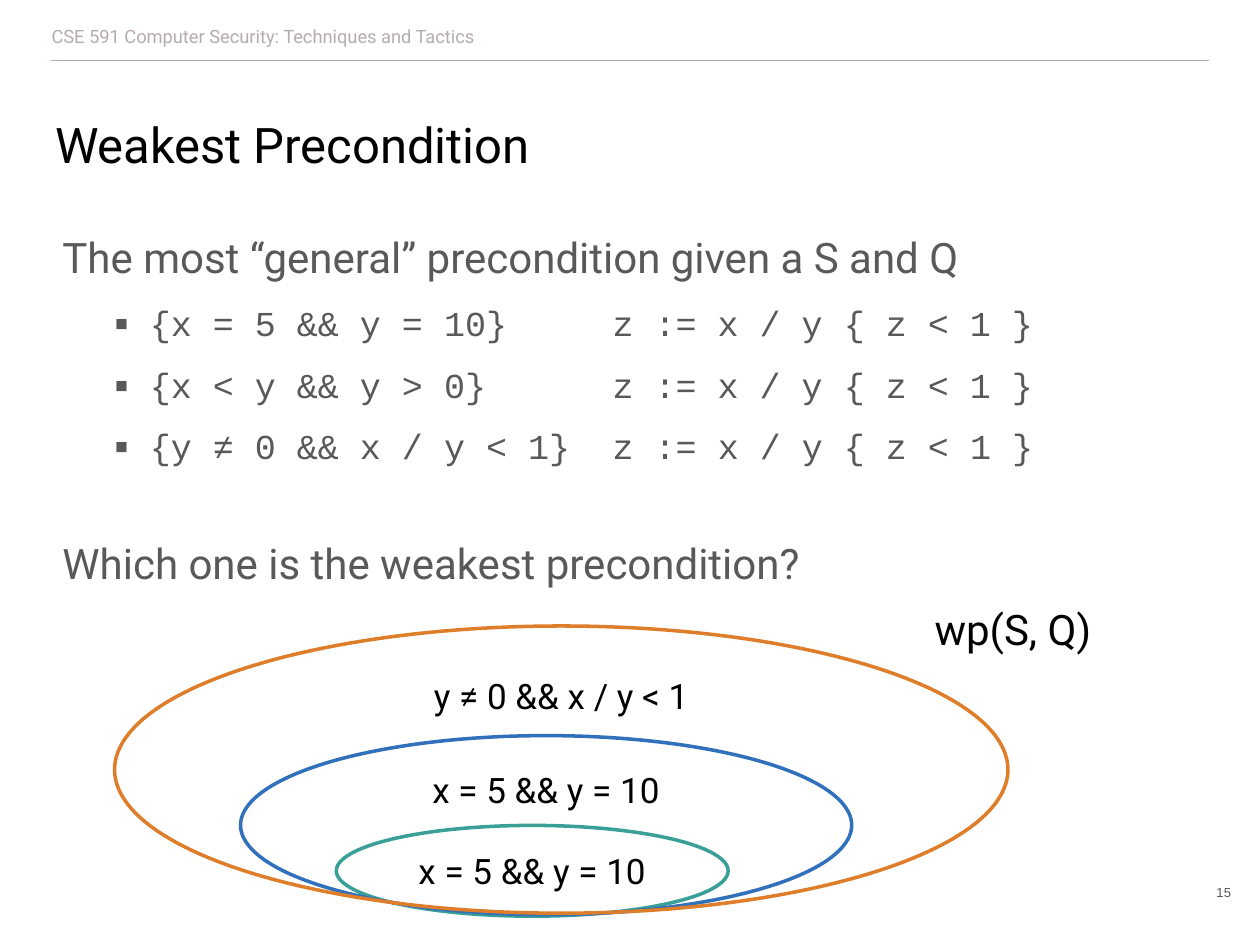
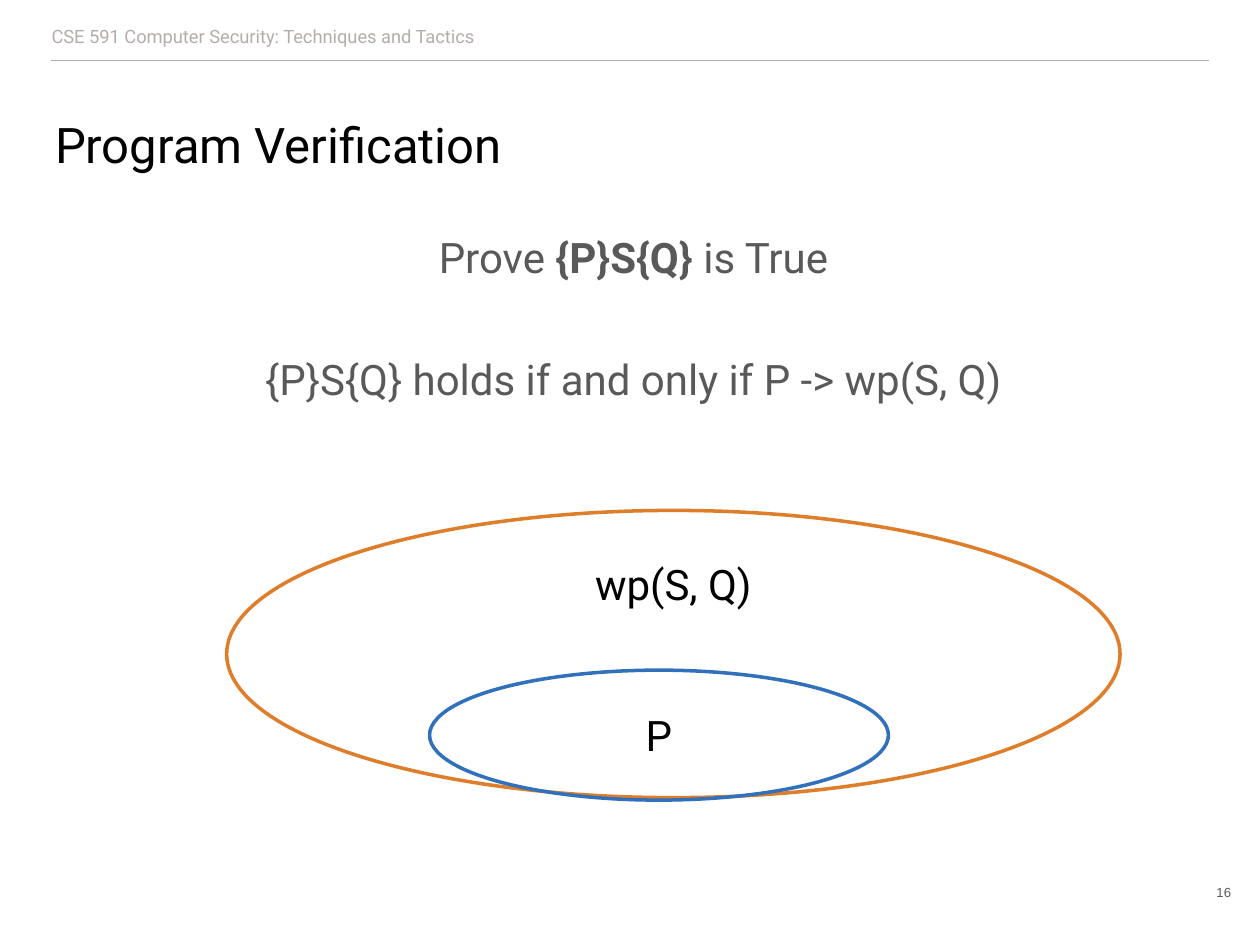
import dataclasses

import lxml.etree
import pptx
import pptx.dml.color
import pptx.enum.shapes
import pptx.enum.text
import pptx.oxml.ns
import pptx.util

Cm, Pt = pptx.util.Cm, pptx.util.Pt
RGB = pptx.dml.color.RGBColor.from_string
ALIGN = pptx.enum.text.PP_ALIGN
ANCHOR = pptx.enum.text.MSO_ANCHOR
qn = pptx.oxml.ns.qn


@dataclasses.dataclass(frozen=True)
class Theme:
    sans: str = "Roboto"
    mono: str = "Courier New"
    plain: str = "Arial"
    ink: str = "000000"
    body: str = "595959"
    pale: str = "B5ADAA"
    teal: str = "399F97"
    blue: str = "3170BA"
    orange: str = "DE7E2B"
    title: float = 28
    lead: float = 24
    code: float = 20
    course: float = 10.5
    number: float = 7.5
    rule: float = 0.75
    ring: float = 2


T = Theme()
COURSE = "CSE 591 Computer Security: Techniques and Tactics"
RESULT = "z := x / y { z < 1 }"
COLUMN = 22       # characters before the result column
ADVANCE = 0.6     # width of a mono character, in ems
GAP = 36.5        # space above a new group of text, in points

# Body lines: (kind, content, space before); a code line holds its precondition.
# Rings: (text, colour, size, anchor, box in cm), from back to front.
SLIDES = [
    {
        "number": 15,
        "title": "Weakest Precondition",
        "align": ALIGN.LEFT,
        "body": [
            ("lead", [("The most “general” precondition given a S and Q", False)], 1.5),
            ("code", "{x = 5 && y = 10}", 7.5),
            ("code", "{x < y && y > 0}", 7.5),
            ("code", "{y ≠ 0 && x / y < 1}", 7.5),
            ("lead", [("Which one is the weakest precondition?", False)], GAP),
        ],
        "rings": [
            ("x = 5 && y = 10", T.teal, T.code, ANCHOR.MIDDLE, (6.78, 16.64, 7.9, 1.83)),
            ("x = 5 && y = 10", T.blue, T.code, ANCHOR.TOP, (4.85, 14.83, 12.32, 3.61)),
            ("y ≠ 0 && x / y < 1", T.orange, T.code, ANCHOR.TOP, (2.31, 12.62, 18.01, 5.79)),
        ],
        "label": ("wp(S, Q)", (18.59, 12.04, 3.71, 1.27)),
    },
    {
        "number": 16,
        "title": "Program Verification",
        "align": ALIGN.CENTER,
        "body": [
            ("lead", [("Prove ", False), ("{P}S{Q} ", True), ("is True", False)], 1.5),
            ("lead", [("{P}S{Q} holds if and only if P -> wp(S, Q)", False)], GAP),
        ],
        "rings": [
            ("wp(S, Q)", T.orange, T.lead, ANCHOR.TOP, (4.57, 10.29, 18.01, 5.79)),
            ("P", T.blue, T.lead, ANCHOR.MIDDLE, (8.66, 13.51, 9.25, 2.62)),
        ],
        "label": None,
    },
]


def put(item, **values):
    for name, value in values.items():
        setattr(item, name, value)


def write(para, text, size, color, face=T.sans, bold=False):
    run = para.add_run()
    run.text = text
    put(run.font, name=face, size=Pt(size), bold=bold)
    run.font.color.rgb = RGB(color)
    return run


def add_box(slide, box, inset=0.25, anchor=ANCHOR.TOP, wrap=True):
    frame = slide.shapes.add_textbox(*map(Cm, box)).text_frame
    put(frame, word_wrap=wrap, vertical_anchor=anchor)
    for side in ("left", "top", "right", "bottom"):
        setattr(frame, "margin_" + side, Cm(inset))
    return frame


def indent(para, left, first=0):
    props = para._p.get_or_add_pPr()
    props.set("marL", str(Cm(left)))
    props.set("indent", str(Cm(first)))
    return props


def add_mark(props):
    """Give a paragraph its square bullet."""
    tint = lxml.etree.SubElement(props, qn("a:buClr"))
    lxml.etree.SubElement(tint, qn("a:srgbClr"), val=T.body)
    lxml.etree.SubElement(props, qn("a:buFont"), typeface=T.sans)
    lxml.etree.SubElement(props, qn("a:buChar"), char="▪")


def write_code(para, start):
    """Write a triple, with one widened space that lines up the results."""
    style = (T.code, T.body, T.mono)
    write(para, start, *style)
    space = write(para, " ", *style)
    extra = (COLUMN - len(start) - 1) * T.code * ADVANCE
    space._r.get_or_add_rPr().set("spc", str(round(extra * 100)))
    write(para, RESULT, *style)


def add_body(slide, lines, align):
    frame = add_box(slide, (0.86, 4.27, 23.67, 12.65))
    for i, (kind, content, before) in enumerate(lines):
        para = frame.add_paragraph() if i else frame.paragraphs[0]
        put(para, alignment=align, line_spacing=1.15, space_before=Pt(before))
        if kind == "code":
            para.level = 1
            add_mark(indent(para, 1.91, -0.71))
            write_code(para, content)
        else:
            indent(para, 0.15)
            for text, bold in content:
                write(para, text, T.lead, T.body, bold=bold)


def add_ring(slide, text, color, size, anchor, box):
    ring = slide.shapes.add_shape(pptx.enum.shapes.MSO_SHAPE.OVAL, *map(Cm, box))
    ring.shadow.inherit = False
    ring.fill.background()
    ring.line.color.rgb = RGB(color)
    ring.line.width = Pt(T.ring)
    put(ring.text_frame, word_wrap=True, vertical_anchor=anchor)
    para = ring.text_frame.paragraphs[0]
    para.alignment = ALIGN.CENTER
    write(para, text, size, T.ink)


def add_frame(slide, title, number):
    """Draw the course line, rule, title and page number."""
    rule = slide.shapes.add_connector(
        pptx.enum.shapes.MSO_CONNECTOR.STRAIGHT, *map(Cm, (1.02, 1.22, 24.38, 1.22)))
    rule.line.color.rgb = RGB(T.pale)
    rule.line.width = Pt(T.rule)
    lxml.etree.SubElement(rule._element.spPr, qn("a:effectLst"))
    course = add_box(slide, (0.86, 0.33, 16.71, 1.14), inset=0.18)
    write(course.paragraphs[0], COURSE, T.course, T.pale)
    head = add_box(slide, (0.86, 1.85, 23.67, 2.11), anchor=ANCHOR.MIDDLE)
    write(head.paragraphs[0], title, T.title, T.ink)
    foot = add_box(slide, (23.55, 17.27, 1.52, 1.45), anchor=ANCHOR.MIDDLE).paragraphs[0]
    foot.alignment = ALIGN.RIGHT
    write(foot, str(number), T.number, T.body, T.plain)


def main():
    deck = pptx.Presentation()
    put(deck, slide_width=Cm(25.4), slide_height=Cm(19.05))
    for page in SLIDES:
        slide = deck.slides.add_slide(deck.slide_layouts[6])
        add_frame(slide, page["title"], page["number"])
        add_body(slide, page["body"], page["align"])
        for ring in page["rings"]:
            add_ring(slide, *ring)
        if page["label"]:
            text, box = page["label"]
            label = add_box(slide, box, wrap=False)
            put(label, margin_top=Cm(0.13), margin_bottom=Cm(0.13))
            write(label.paragraphs[0], text, T.lead, T.ink)
    deck.save("out.pptx")


if __name__ == "__main__":
    main()
